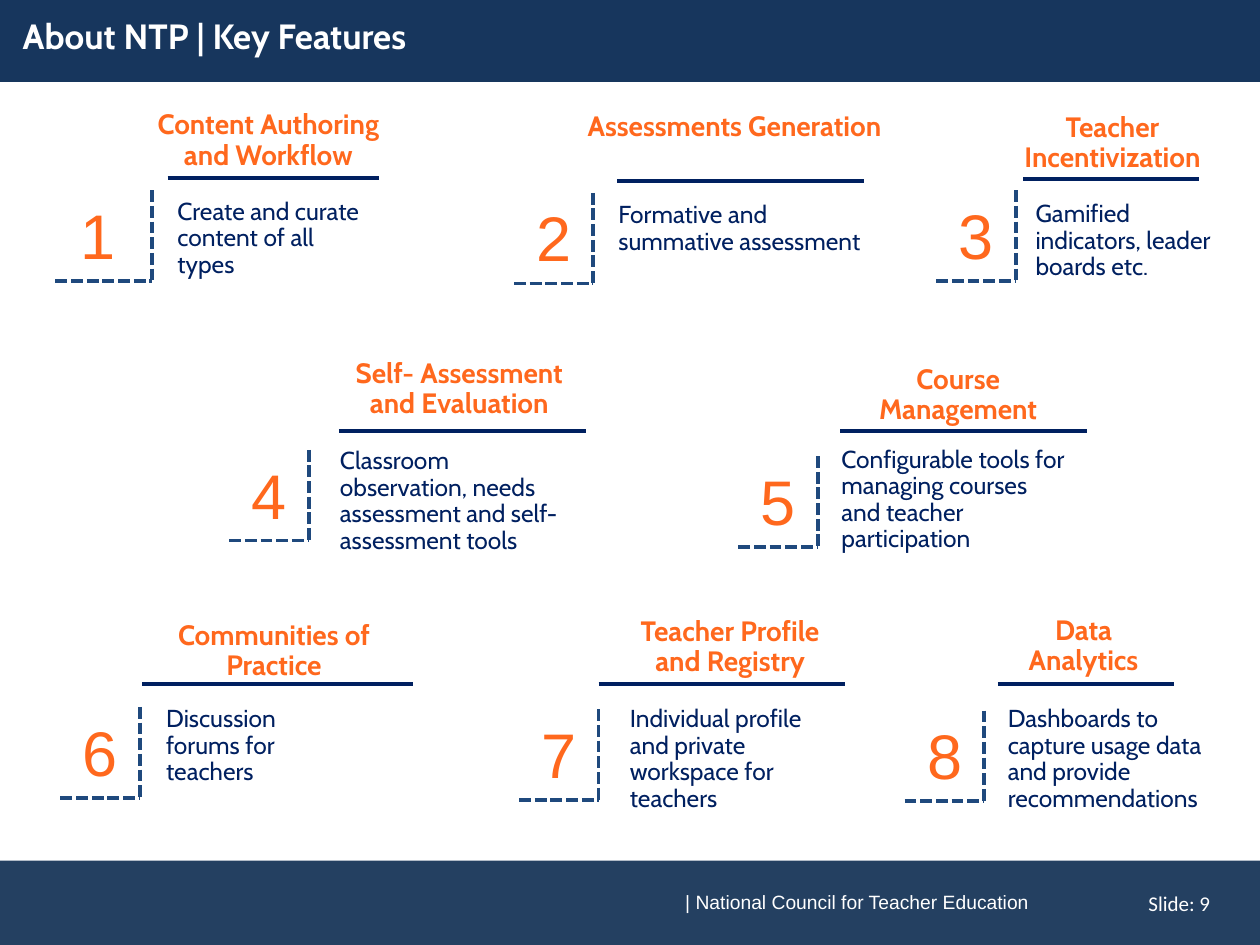
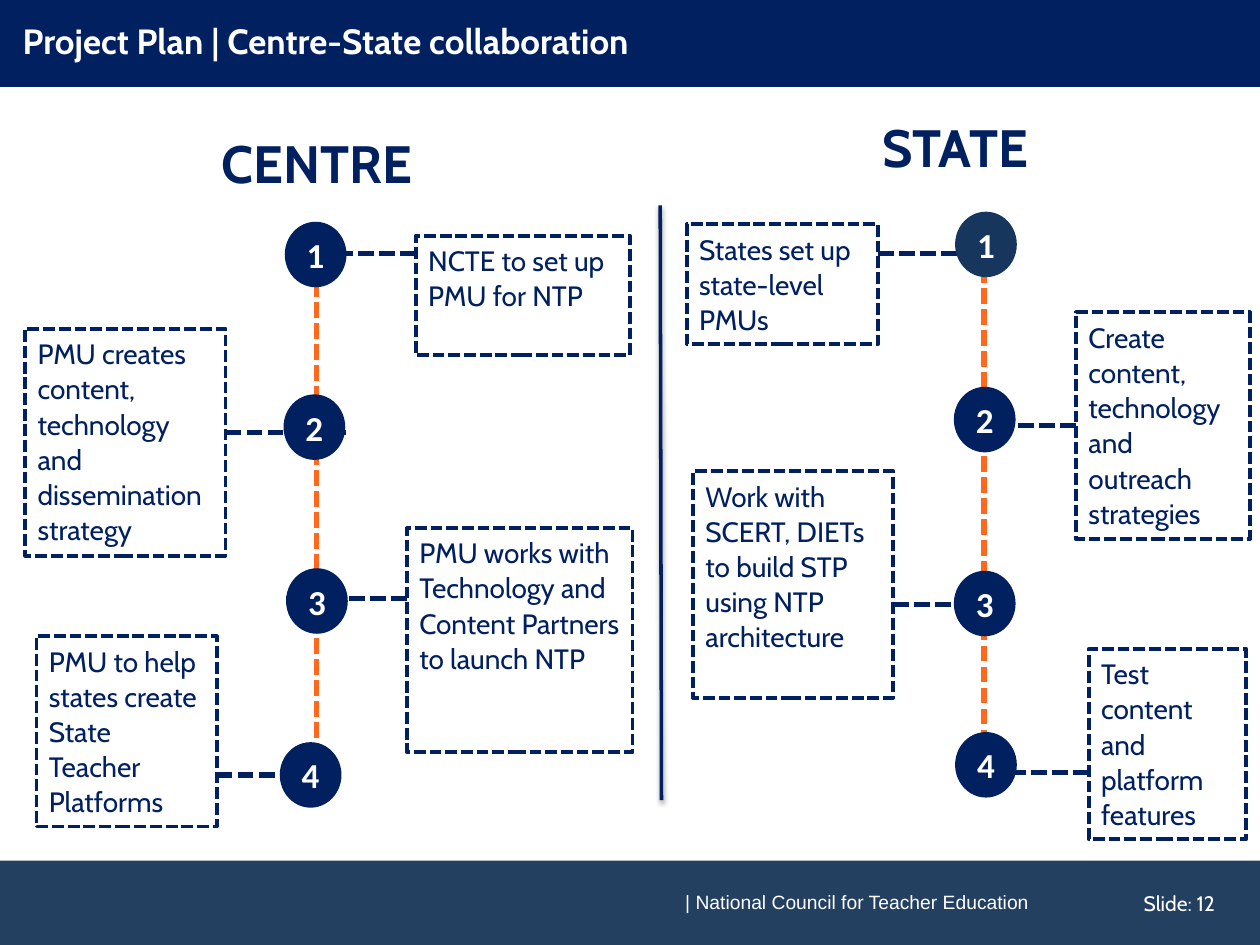
from lxml import etree
from pptx import Presentation
from pptx.dml.color import RGBColor
from pptx.enum.dml import MSO_LINE
from pptx.enum.shapes import MSO_CONNECTOR, MSO_SHAPE
from pptx.enum.text import MSO_ANCHOR, MSO_AUTO_SIZE, PP_ALIGN
from pptx.oxml.ns import qn
from pptx.util import Inches, Pt

LEFT, CENTER = PP_ALIGN.LEFT, PP_ALIGN.CENTER
TOP, MIDDLE = MSO_ANCHOR.TOP, MSO_ANCHOR.MIDDLE
DASH = MSO_LINE.SQUARE_DOT
STRAIGHT = MSO_CONNECTOR.STRAIGHT
RECT, OVAL = MSO_SHAPE.RECTANGLE, MSO_SHAPE.OVAL
SIDE_LEFT, SIDE_RIGHT = 1, 3

COLORS = {
    "navy": "002060",
    "slate": "17365D",
    "footer": "244061",
    "dash": "1F497D",
    "orange": "FF681D",
    "white": "FFFFFF",
    "black": "000000",
}
TITLE_ONLY = 5
BAND_HEIGHT = 0.69
ELBOW_HEIGHT = 0.72
NUMBER_WIDTH = 0.55
LINK_LENGTH = 0.98
CIRCLE_SIZE = (0.49, 0.52)

# number, heading, description, elbow (right, top, width),
# then heading, rule and description as (dx, dy, width) from the elbow
FEATURES = [
    (1, "Content Authoring and Workflow", "Create and curate content of all types",
     (1.21, 1.51, 0.77), (-0.18, -0.68, 2.2), (0.12, -0.1, 1.68), (0.1, 0.02, 1.65)),
    (2, "Assessments Generation", "Formative and summative assessment",
     (4.71, 1.53, 0.63), (-0.23, -0.69, 2.7), (0.19, -0.09, 1.96), (0.1, 0.03, 2.22)),
    (3, "Teacher\nIncentivization", "Gamified indicators, leader boards etc.",
     (8.06, 1.51, 0.63), (-0.11, -0.66, 1.76), (0.06, -0.09, 1.4), (0.06, 0.04, 1.78)),
    (4, "Self- Assessment and Evaluation",
     "Classroom observation, needs assessment and self-assessment tools",
     (2.45, 3.57, 0.63), (0.17, -0.77, 2.05), (0.24, -0.15, 1.96), (0.15, -0.06, 2.04)),
    (5, "Course Management",
     "Configurable tools for managing courses and teacher participation",
     (6.49, 3.62, 0.63), (0.05, -0.77, 2.13), (0.18, -0.2, 1.96), (0.09, -0.12, 2)),
    (6, "Communities of Practice", "Discussion forums for teachers",
     (1.11, 5.61, 0.63), (-0.17, -0.73, 2.47), (0.02, -0.18, 2.15), (0.11, -0.05, 1.56)),
    (7, "Teacher Profile and Registry",
     "Individual profile and private workspace for teachers",
     (4.75, 5.63, 0.63), (0.06, -0.78, 1.97), (0, -0.2, 1.96), (0.15, -0.07, 1.62)),
    (8, "Data Analytics", "Dashboards to capture usage data and provide recommendations",
     (7.81, 5.64, 0.63), (0.04, -0.8, 1.5), (0.11, -0.21, 1.4), (0.09, -0.08, 1.84)),
]

# description, its box, circle corner, height of the link, circle colour
CENTRE_STEPS = [
    ("NCTE to set up PMU for NTP", (3.3, 1.87, 1.7, 0.95), (2.26, 1.76), 2.01, "navy"),
    ("PMU creates content, technology and dissemination strategy",
     (0.2, 2.61, 1.59, 1.8), (2.25, 3.13), 3.43, "navy"),
    ("PMU works with Technology and Content Partners to launch NTP",
     (3.23, 4.19, 1.79, 1.78), (2.27, 4.51), 4.75, "navy"),
    ("PMU to help states create State Teacher Platforms",
     (0.29, 5.05, 1.43, 1.51), (2.22, 5.89), 6.15, "navy"),
]
STATE_STEPS = [
    ("States set up state-level PMUs", (5.45, 1.78, 1.52, 0.95), (7.58, 1.68), 2.01, "slate"),
    ("Create content, technology and outreach strategies",
     (8.54, 2.48, 1.38, 1.8), (7.57, 3.07), 3.38, "navy"),
    ("Work with SCERT, DIETs to build STP using NTP architecture",
     (5.5, 3.74, 1.59, 1.8), (7.57, 4.53), 4.8, "navy"),
    ("Test content and platform features", (8.64, 5.15, 1.25, 1.51), (7.58, 5.81), 6.13, "navy"),
]


def rgb(name):
    return RGBColor.from_string(COLORS[name])


def inches(*lengths):
    return [Inches(length) for length in lengths]


def write(frame, text, size=16, font="Cabin", color="navy", bold=False,
          align=LEFT, anchor=TOP, spacing=1.0, inset=0.1):
    """Fill a text frame, one paragraph for each line of text."""
    frame.word_wrap = True
    frame.auto_size = MSO_AUTO_SIZE.NONE
    frame.vertical_anchor = anchor
    frame.margin_left, frame.margin_right = inches(inset, 0.1)
    frame.margin_top = frame.margin_bottom = Inches(0.05)
    for index, line in enumerate(text.split("\n")):
        paragraph = frame.add_paragraph() if index else frame.paragraphs[0]
        paragraph.alignment = align
        paragraph.line_spacing = spacing
        run = paragraph.add_run()
        run.text = line
        run.font.size = Pt(size)
        run.font.name = font
        run.font.bold = bold
        run.font.color.rgb = rgb(color)


def add_text(shapes, box, text, **style):
    write(shapes.add_textbox(*inches(*box)).text_frame, text, **style)


def add_box(shapes, kind, box, fill=None, line=None):
    shape = shapes.add_shape(kind, *inches(*box))
    shape.shadow.inherit = False
    if fill:
        shape.fill.solid()
        shape.fill.fore_color.rgb = rgb(fill)
    else:
        shape.fill.background()
    if line:
        shape.line.color.rgb = rgb(line)
        shape.line.width = Pt(2.25)
        shape.line.dash_style = DASH
    else:
        shape.line.fill.background()
    return shape


def add_line(shapes, start, end, color="navy", width=2.25, dash=None, shadow=False):
    line = shapes.add_connector(STRAIGHT, *inches(*start, *end))
    line.line.color.rgb = rgb(color)
    line.line.width = Pt(width)
    if dash:
        line.line.dash_style = dash
    effects = etree.SubElement(line._element.spPr, qn("a:effectLst"))
    if shadow:
        outer = etree.SubElement(effects, qn("a:outerShdw"), blurRad=str(Pt(3.1)),
                                 dist=str(Pt(1.6)), dir="5400000", rotWithShape="0")
        shade = etree.SubElement(outer, qn("a:srgbClr"), val=COLORS["black"])
        etree.SubElement(shade, qn("a:alpha"), val="38000")
    return line


def add_framed_slide(deck, title, number, band, top, number_font):
    """Start a slide with its title band and footer."""
    slide = deck.slides.add_slide(deck.slide_layouts[TITLE_ONLY])
    heading = slide.shapes.title
    heading.left, heading.top, heading.width, heading.height = inches(0, top, 10, BAND_HEIGHT)
    heading.fill.solid()
    heading.fill.fore_color.rgb = rgb(band)
    write(heading.text_frame, title, size=20, color="white", bold=True,
          anchor=MIDDLE, spacing=0.9, inset=0.18)

    add_box(slide.shapes, RECT, (0, 6.83, 10, BAND_HEIGHT), fill="footer")
    add_text(slide.shapes, (5.34, 7.02, 3.3, 0.37), "| National Council for Teacher Education",
             size=11, font="Arial", color="white")
    add_text(slide.shapes, (8.87, 6.97, 0.98, 0.4), f"Slide: {number}", size=12,
             font=number_font, color="white", align=CENTER, anchor=MIDDLE)
    return slide


def add_feature(shapes, number, heading, description, elbow, heading_at, rule_at, description_at):
    right, top, width = elbow
    bottom = top + ELBOW_HEIGHT

    def place(offset, height):
        dx, dy, box_width = offset
        return right + dx, top + dy, box_width, height

    # Heading, rule and description
    add_text(shapes, place(heading_at, 0.59), heading, color="orange", bold=True,
             align=CENTER, spacing=0.9)
    rule_left, rule_top, rule_width, _ = place(rule_at, 0)
    add_line(shapes, (rule_left, rule_top), (rule_left + rule_width, rule_top))
    add_text(shapes, place(description_at, 0.95), description, size=14, spacing=0.9)

    # Number in its dashed elbow
    badge = shapes.add_group_shape().shapes
    add_line(badge, (right, top), (right, bottom), color="dash", dash=DASH)
    add_line(badge, (right - width, bottom), (right, bottom), color="dash", dash=DASH)
    number_left = right - max(NUMBER_WIDTH, width - 0.1)
    add_text(badge, (number_left, top, NUMBER_WIDTH, 0.71), str(number),
             size=36, font="Arial", color="orange")


def add_track(shapes, heading, heading_box, spine_x, spine_top, spine_bottom, steps):
    """Draw one column of numbered steps along a dashed spine."""
    add_text(shapes, heading_box, heading, size=30, bold=True, align=CENTER)

    # Links lie behind the spine and the circles
    links = []
    for _, (left, _, width, _), _, link_y, _ in steps:
        on_left = left < spine_x
        start = left + width if on_left else left
        end = start + (LINK_LENGTH if on_left else -LINK_LENGTH)
        links.append(add_line(shapes, (start, link_y), (end, link_y), width=3, dash=DASH))
    add_line(shapes, (spine_x, spine_bottom), (spine_x, spine_top), color="orange",
             width=3, dash=DASH)

    for number, (step, link) in enumerate(zip(steps, links), 1):
        description, box, corner, link_y, color = step
        left, top, _, height = box
        frame = add_box(shapes, RECT, box, line="navy")
        write(frame.text_frame, description, spacing=1.05)
        if abs(top + height / 2 - link_y) < 0.01:
            link.begin_connect(frame, SIDE_RIGHT if left < spine_x else SIDE_LEFT)
        circle = add_box(shapes, OVAL, (*corner, *CIRCLE_SIZE), fill=color)
        write(circle.text_frame, str(number), size=20, font="Calibri", color="white",
              bold=True, align=CENTER, anchor=MIDDLE)


def build_features(deck):
    slide = add_framed_slide(deck, "About NTP | Key Features", 9, "slate", -0.04, "Calibri")
    for feature in FEATURES:
        add_feature(slide.shapes, *feature)


def build_collaboration(deck):
    slide = add_framed_slide(deck, "Project Plan | Centre-State collaboration", 12,
                             "navy", 0, "Cabin")
    add_track(slide.shapes, "CENTRE", (1.18, 0.99, 2.67, 0.61), 2.51, 1.85, 6.36, CENTRE_STEPS)
    add_track(slide.shapes, "STATE", (6.79, 0.86, 1.58, 0.61), 7.81, 1.74, 6.25, STATE_STEPS)
    add_line(slide.shapes, (5.25, 6.35), (5.24, 1.63), width=2, shadow=True)


def main():
    deck = Presentation()
    deck.slide_width, deck.slide_height = inches(10, 7.5)
    build_features(deck)
    build_collaboration(deck)
    deck.save("out.pptx")


if __name__ == "__main__":
    main()
